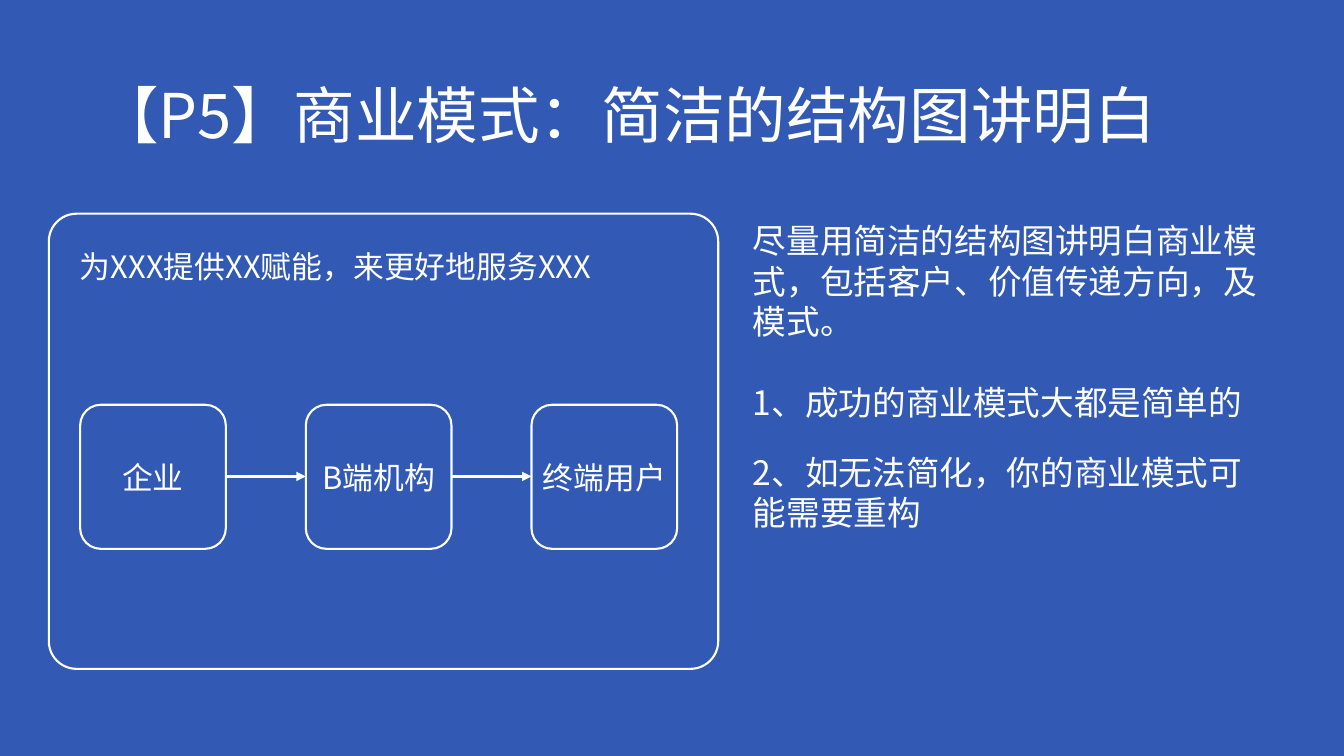
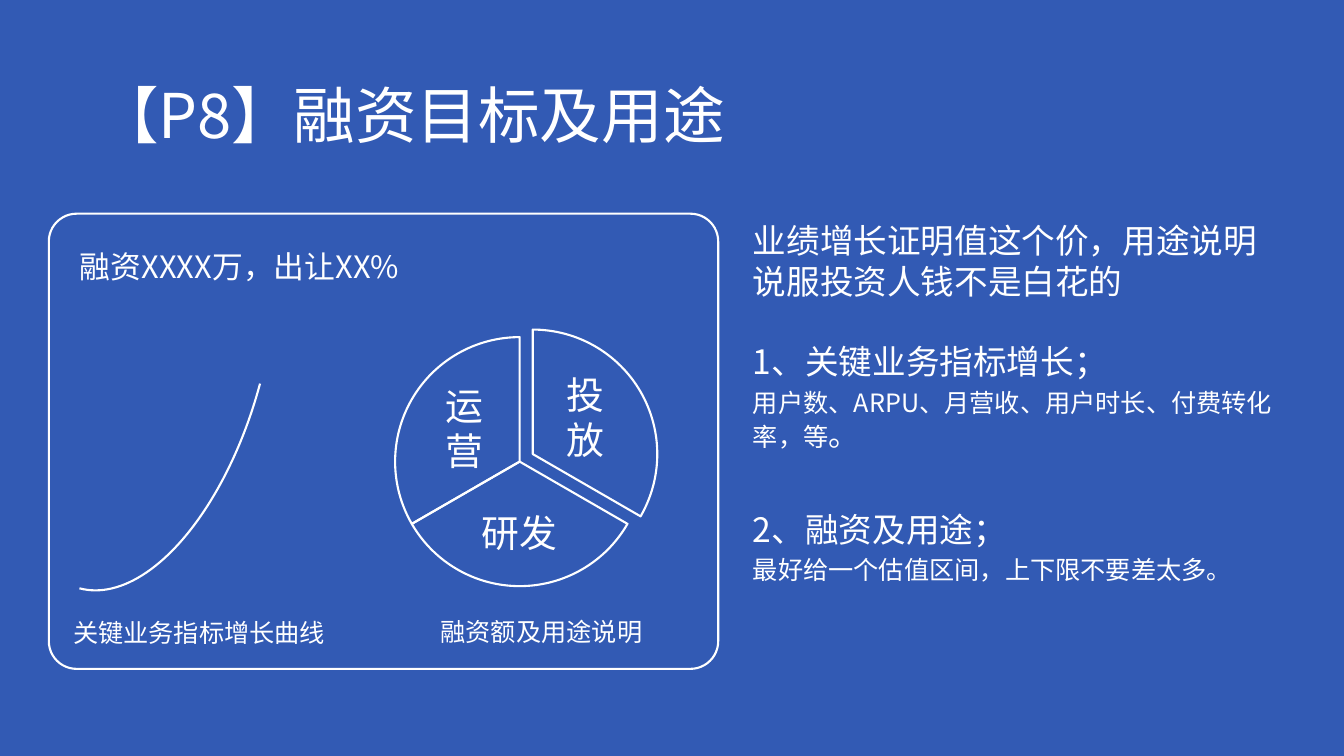
from collections import namedtuple

from lxml import etree
from pptx import Presentation
from pptx import util as u
from pptx.dml.color import RGBColor
from pptx.enum import shapes, text
from pptx.oxml import ns

COLORS = {"background": "325AB4", "ink": "FFFFFF"}
FONT = "Noto Sans CJK SC"
LINE_RATIO = 1.2
HEADING, BODY, LABEL, SMALL = 88, 48, 44, 36

# Boxes are left, top, width and height in centimetres
Box = namedtuple("Box", "left top width height")
TITLE = Box(4.65, 2.03, 58.42, 7.37)
PANEL = Box(2.46, 10.77, 33.73, 22.94)
NOTES = Box(37.69, 10.97, 26.67, 18)


def color(name):
    return RGBColor.from_string(COLORS[name])


def inside(box, left, top, width, height):
    return Box(box.left + left, box.top + top, width, height)


def lengths(box):
    return [u.Cm(value) for value in box]


# Text
def add_span(para, words, size):
    span = para.add_run()
    span.text = words
    span.font.size = u.Pt(size)
    span.font.name = FONT
    span.font.color.rgb = color("ink")
    east_asian = etree.SubElement(span.font._element, ns.qn("a:ea"))
    east_asian.set("typeface", FONT)


def write(frame, words, size=BODY, first=True, align=text.PP_ALIGN.LEFT,
          before=0, line=None, tail="", tail_size=LABEL):
    para = frame.paragraphs[0] if first else frame.add_paragraph()
    para.alignment = align
    para.line_spacing = u.Pt(line or size * LINE_RATIO)
    if before:
        para.space_before = u.Pt(before)
    add_span(para, words, size)
    if tail:
        add_span(para, tail, tail_size)


def add_text(page, box, words=None, middle=False, **style):
    frame = page.shapes.add_textbox(*lengths(box)).text_frame
    frame.word_wrap = True
    if middle:
        frame.vertical_anchor = text.MSO_ANCHOR.MIDDLE
    if words:
        write(frame, words, **style)
    return frame


# Outlined shapes and arrows
def add_outline(page, kind, box, adjustments=()):
    shape = page.shapes.add_shape(kind, *lengths(box))
    shape.shadow.inherit = False
    shape.fill.background()
    shape.line.color.rgb = color("ink")
    shape.line.width = u.Pt(3)
    for index, value in enumerate(adjustments):
        shape.adjustments[index] = value
    return shape


def add_arrow(page, start, end, height):
    arrow = page.shapes.add_connector(
        shapes.MSO_CONNECTOR.STRAIGHT,
        u.Cm(start), u.Cm(height), u.Cm(end), u.Cm(height))
    arrow.line.color.rgb = color("ink")
    arrow.line.width = u.Pt(4.5)
    head = etree.SubElement(arrow.line._get_or_add_ln(), ns.qn("a:tailEnd"))
    head.set("type", "triangle")
    etree.SubElement(arrow._element.spPr, ns.qn("a:effectLst"))


# Parts every slide has: background, title, panel and notes
def add_page(deck, title, summary, notes):
    page = deck.slides.add_slide(deck.slide_layouts[6])
    page.background.fill.solid()
    page.background.fill.fore_color.rgb = color("background")
    add_text(page, TITLE, title, middle=True, size=HEADING)
    add_outline(page, shapes.MSO_SHAPE.ROUNDED_RECTANGLE, PANEL, [0.061])
    add_text(page, inside(PANEL, 1.32, 1.6, 29.26, 2.13), summary, size=LABEL)
    frame = add_text(page, NOTES)
    for index, (words, style) in enumerate(notes):
        write(frame, words, first=index == 0, **style)
    return page


# Chain of value: boxes joined by arrows
def add_chain(page, box, names):
    width, height, pitch = 7.34, 7.26, 11.37
    for index, name in enumerate(names):
        node = inside(box, 1.58 + index * pitch, 9.63, width, height)
        shape = add_outline(page, shapes.MSO_SHAPE.ROUNDED_RECTANGLE, node, [0.143])
        frame = shape.text_frame
        frame.margin_left = frame.margin_right = 0
        frame.vertical_anchor = text.MSO_ANCHOR.MIDDLE
        write(frame, name, size=LABEL, align=text.PP_ALIGN.CENTER)
        if index:
            add_arrow(page, node.left - pitch + width, node.left, node.top + 3.61)


# Growth curve with its caption
def add_growth_curve(page, box):
    curve = add_outline(page, shapes.MSO_SHAPE.ARC,
                        inside(box, -7.59, 0.86, 24.64, 12.24))
    curve.rotation = 105
    add_text(page, inside(box, 0.97, 20.24, 14.35, 1.8),
             "关键业务指标增长曲线", size=SMALL)


# Use of funds: three equal slices, the first pulled out
def add_fund_pie(page, box):
    pie = inside(box, 17.45, 6.22, 12.55, 12.55)
    slices = [
        ("投放", (0.66, -0.38), (162, 18), (7.47, 1.93, 4.24, 4.19)),
        ("研发", (0, 0), (18, 90), (3.43, 7.9, 5.66, 3.89)),
        ("运营", (0, 0), (90, 162), (1.35, 2.47, 4.24, 4.19)),
    ]
    for name, shift, angles, label in slices:
        add_outline(page, shapes.MSO_SHAPE.PIE,
                    inside(pie, *shift, pie.width, pie.height), angles)
        add_text(page, inside(pie, *label), name, middle=True, size=54,
                 align=text.PP_ALIGN.CENTER)
    add_text(page, inside(box, 19.49, 20.17, 12.22, 1.8),
             "融资额及用途说明", size=SMALL)


def build_business_model(deck):
    page = add_page(
        deck, "【P5】商业模式：简洁的结构图讲明白",
        "为XXX提供XX赋能，来更好地服务XXX",
        [("尽量用简洁的结构图讲明白商业模式，包括客户、价值传递方向，及模式。", {}),
         ("1、成功的商业模式大都是简单的", {"before": 57.6}),
         ("2、如无法简化，你的商业模式可能需要重构", {"before": 43.2})])
    add_chain(page, PANEL, ["企业", "B端机构", "终端用户"])


def build_funding(deck):
    detail = {"size": SMALL, "line": 51}
    page = add_page(
        deck, "【P8】融资目标及用途", "融资XXXX万，出让XX%",
        [("业绩增长证明值这个价，用途说明说服投资人钱不是白花的", {}),
         ("1、关键业务指标增长；", {"before": 57.6}),
         ("用户数、ARPU、月营收、用户时长、付费转化率，等", {**detail, "tail": "。"}),
         ("2、融资及用途；", {"before": 80}),
         ("最好给一个估值区间，上下限不要差太多。", detail)])
    add_growth_curve(page, PANEL)
    add_fund_pie(page, PANEL)


def main():
    deck = Presentation()
    deck.slide_width, deck.slide_height = u.Cm(67.72), u.Cm(38.1)
    build_business_model(deck)
    build_funding(deck)
    deck.save("out.pptx")


if __name__ == "__main__":
    main()
